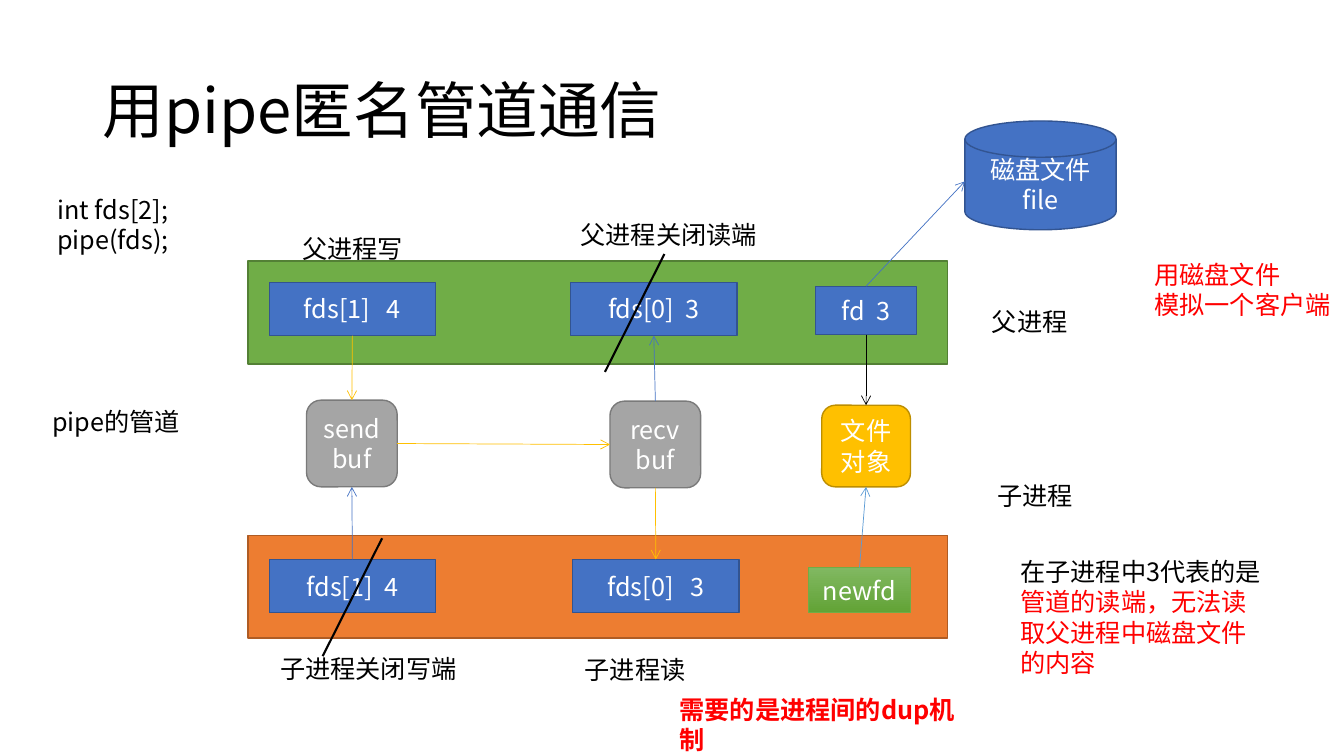
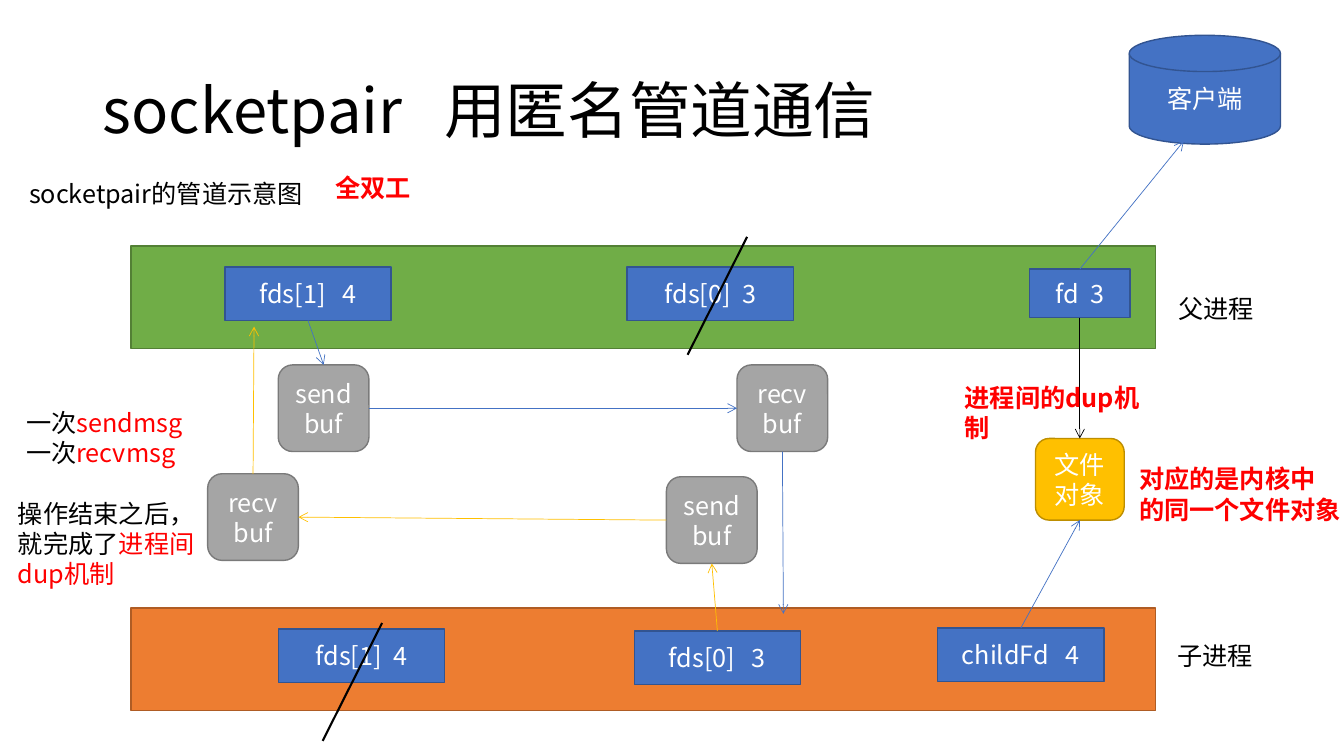
from lxml import etree
from pptx import Presentation
from pptx.dml.color import RGBColor
from pptx.enum import shapes, text
from pptx.oxml import ns
from pptx.util import Inches, Pt

FONT = "Noto Sans CJK SC"
COLORS = {
    "black": "000000", "white": "FFFFFF", "red": "FF0000",
    "blue": "4472C4", "blue_edge": "325491", "sky": "5B9BD5",
    "green": "70AD47", "green_edge": "538035", "green_light": "81B861", "green_dark": "62A336",
    "orange": "ED7D31", "orange_edge": "AF5C24",
    "gray": "A5A5A5", "gray_edge": "7A7A7A",
    "gold": "FFC000", "gold_edge": "BD8E00",
}
PRESET = shapes.MSO_SHAPE
NODES = {
    "register": (PRESET.RECTANGLE, 1.65, 0.53, "blue", "blue_edge"),
    "fd": (PRESET.RECTANGLE, 1, 0.48, "blue", "blue_edge"),
    "newfd": (PRESET.RECTANGLE, 1.01, 0.45, "green", "green"),
    "buffer": (PRESET.ROUNDED_RECTANGLE, 0.9, 0.86, "gray", "gray_edge"),
    "file": (PRESET.ROUNDED_RECTANGLE, 0.88, 0.81, "gold", "gold_edge"),
    "disk": (PRESET.FLOWCHART_MAGNETIC_DISK, 1.5, 1.08, "blue", "blue_edge"),
}
BANDS = {"parent": ("green", "green_edge"), "child": ("orange", "orange_edge")}
BAND_HEIGHT = 1.02
TOP, LEFT, BOTTOM, RIGHT = range(4)


def rgb(name):
    """Return the named colour."""
    return RGBColor.from_string(COLORS[name])


def write(frame, content, size=18, color="black", bold=False, align=None, spacing=None):
    """Write paragraphs given as a string, or as rows of (text, colour) runs."""
    rows = content
    if isinstance(content, str):
        rows = [[(row, color)] for row in content.split("\n")]
    for index, row in enumerate(rows):
        paragraph = frame.add_paragraph() if index else frame.paragraphs[0]
        paragraph.alignment = align
        paragraph.line_spacing = spacing
        for words, run_color in row:
            run = paragraph.add_run()
            run.text = words
            run.font.size = Pt(size)
            run.font.bold = bold
            run.font.name = FONT
            run.font.color.rgb = rgb(run_color)
            east_asian = etree.SubElement(run.font._element, ns.qn("a:ea"))
            east_asian.set("typeface", FONT)


def label(slide, left, top, width, height, content, wrap=True, **format):
    """Place a label that grows with its text."""
    frame = slide.shapes.add_textbox(*map(Inches, (left, top, width, height))).text_frame
    frame.word_wrap = wrap
    frame.auto_size = text.MSO_AUTO_SIZE.SHAPE_TO_FIT_TEXT
    write(frame, content, **format)


def title(slide, words):
    """Place the slide title."""
    frame = slide.shapes.add_textbox(*map(Inches, (0.92, 0.4, 11.5, 1.45))).text_frame
    frame.word_wrap = True
    frame.vertical_anchor = text.MSO_ANCHOR.MIDDLE
    write(frame, words, size=44, spacing=0.9)


def block(slide, preset, left, top, width, height, fill, edge):
    """Place a flat filled shape with an outline."""
    shape = slide.shapes.add_shape(preset, *map(Inches, (left, top, width, height)))
    shape.shadow.inherit = False
    shape.fill.solid()
    shape.fill.fore_color.rgb = rgb(fill)
    shape.line.color.rgb = rgb(edge)
    shape.line.width = Pt(1)
    return shape


def node(slide, kind, left, top, words):
    """Place one diagram node of a known kind."""
    preset, width, height, fill, edge = NODES[kind]
    shape = block(slide, preset, left, top, width, height, fill, edge)
    if kind == "newfd":
        shape.line.width = Pt(0.5)
        shape.fill.gradient()
        shape.fill.gradient_angle = 270
        for stop, shade in zip(shape.fill.gradient_stops, ("green_light", "green_dark")):
            stop.color.rgb = rgb(shade)
    shape.text_frame.word_wrap = True
    shape.text_frame.vertical_anchor = text.MSO_ANCHOR.MIDDLE
    write(shape.text_frame, words, color="white", align=text.PP_ALIGN.CENTER)
    return shape


def process_band(slide, kind, left, top, width, members):
    """Place a process band and its descriptors, offset from the band's corner."""
    block(slide, PRESET.RECTANGLE, left, top, width, BAND_HEIGHT, *BANDS[kind])
    return [node(slide, member, left + dx, top + dy, words) for member, dx, dy, words in members]


def segment(slide, start, end, color, width):
    """Draw a line between points or (shape, side) pairs."""
    glued = [not isinstance(spot[0], (int, float)) for spot in (start, end)]
    points = [(0, 0) if fixed else spot for fixed, spot in zip(glued, (start, end))]
    line = slide.shapes.add_connector(
        shapes.MSO_CONNECTOR.STRAIGHT, *(Inches(value) for point in points for value in point))
    if glued[0]:
        line.begin_connect(*start)
    if glued[1]:
        line.end_connect(*end)
    line.line.color.rgb = rgb(color)
    line.line.width = Pt(width)
    etree.SubElement(line._element.spPr, ns.qn("a:effectLst"))
    return line


def arrow(slide, start, end, color="blue"):
    """Draw a thin arrow."""
    line = segment(slide, start, end, color, 0.5)
    etree.SubElement(line.line._get_or_add_ln(), ns.qn("a:tailEnd")).set("type", "arrow")


def strike(slide, left, top):
    """Cross out a closed descriptor."""
    segment(slide, (left, top + 1.17), (left + 0.59, top), "black", 1.5)


def pipe_slide(slide):
    """Build the pipe diagram."""
    child_write, child_read, new_fd = process_band(slide, "child", 2.46, 5.31, 6.94, [
        ("register", 0.21, 0.24, "fds[1]  4"),
        ("register", 3.22, 0.24, "fds[0]   3"),
        ("newfd", 5.56, 0.32, "newfd")])
    parent_write, parent_read, fd = process_band(slide, "parent", 2.46, 2.59, 6.94, [
        ("register", 0.21, 0.21, "fds[1]   4"),
        ("register", 3.2, 0.21, "fds[0]  3"),
        ("fd", 5.63, 0.25, "fd  3")])
    title(slide, "用pipe匿名管道通信")
    send = node(slide, "buffer", 3.04, 3.97, "send\nbuf")
    recv = node(slide, "buffer", 6.05, 3.98, "recv\nbuf")
    file_object = node(slide, "file", 8.15, 4.02, "文件对象")
    node(slide, "disk", 9.57, 1.2, "磁盘文件\nfile")

    arrow(slide, (parent_write, BOTTOM), (send, TOP), "gold")
    arrow(slide, (recv, TOP), (parent_read, BOTTOM))
    arrow(slide, (fd, BOTTOM), (file_object, TOP), "black")
    arrow(slide, (child_write, TOP), (send, BOTTOM))
    arrow(slide, (recv, BOTTOM), (child_read, TOP), "gold")
    arrow(slide, (send, RIGHT), (recv, LEFT), "gold")
    arrow(slide, (fd, TOP), (9.57, 1.8))
    arrow(slide, (new_fd, TOP), (file_object, BOTTOM), "sky")
    strike(slide, 6, 2.52)
    strike(slide, 3.2, 5.34)

    label(slide, 0.42, 3.98, 1.77, 0.4, "pipe的管道")
    label(slide, 9.74, 2.99, 0.95, 0.4, "父进程", wrap=False)
    label(slide, 9.79, 4.72, 0.95, 0.4, "子进程", wrap=False)
    label(slide, 6.64, 6.84, 3.15, 0.4, "需要的是进程间的dup机制", wrap=False, color="red", bold=True)
    label(slide, 11.35, 2.52, 1.95, 0.71, "用磁盘文件\n模拟一个客户端", wrap=False, color="red")
    label(slide, 0.47, 1.88, 3.88, 0.71, "int fds[2];\npipe(fds);")
    label(slide, 2.9, 2.27, 1.24, 0.4, "父进程写")
    label(slide, 5.66, 2.13, 2.06, 0.4, "父进程关闭读端")
    label(slide, 5.7, 6.44, 2.43, 0.4, "子进程读")
    label(slide, 2.68, 6.43, 2.19, 0.4, "子进程关闭写端")
    label(slide, 10.02, 5.47, 2.68, 1.31, [
        [("在子进程中3代表的是", "black"), ("管道的读端，无法读取父进程中磁盘文件的内容", "red")]])


def socketpair_slide(slide):
    """Build the socketpair diagram."""
    _, child_read, child_fd = process_band(slide, "child", 1.3, 6.03, 10.16, [
        ("register", 1.46, 0.21, "fds[1]  4"),
        ("register", 4.99, 0.23, "fds[0]   3"),
        ("register", 8, 0.2, "childFd   4")])
    parent_write, _, fd = process_band(slide, "parent", 1.3, 2.44, 10.16, [
        ("register", 0.93, 0.21, "fds[1]   4"),
        ("register", 4.92, 0.21, "fds[0]  3"),
        ("fd", 8.91, 0.23, "fd  3")])
    title(slide, "socketpair   用匿名管道通信")
    parent_send = node(slide, "buffer", 2.76, 3.62, "send\nbuf")
    parent_recv = node(slide, "buffer", 2.06, 4.7, "recv\nbuf")
    child_send = node(slide, "buffer", 6.61, 4.73, "send\nbuf")
    child_recv = node(slide, "buffer", 7.31, 3.62, "recv\nbuf")
    file_object = node(slide, "file", 10.27, 4.35, "文件对象")
    node(slide, "disk", 11.2, 0.35, "客户端")

    arrow(slide, (parent_write, BOTTOM), (parent_send, TOP))
    arrow(slide, (parent_send, RIGHT), (child_recv, LEFT))
    arrow(slide, (child_recv, BOTTOM), (7.77, 6.09))
    arrow(slide, (child_read, TOP), (child_send, BOTTOM), "gold")
    arrow(slide, (child_send, LEFT), (parent_recv, RIGHT), "gold")
    arrow(slide, (parent_recv, TOP), (2.52, 3.24), "gold")
    arrow(slide, (fd, BOTTOM), (file_object, TOP), "black")
    arrow(slide, (child_fd, TOP), (file_object, BOTTOM))
    arrow(slide, (fd, TOP), (11.74, 1.4))
    strike(slide, 6.82, 2.35)
    strike(slide, 3.2, 6.18)

    label(slide, 0.19, 1.72, 3.01, 0.4, "socketpair的管道示意图")
    label(slide, 3.23, 1.66, 1.18, 0.4, "全双工", color="red", bold=True)
    label(slide, 11.59, 2.86, 0.95, 0.4, "父进程", wrap=False)
    label(slide, 11.58, 6.3, 0.95, 0.4, "子进程", wrap=False)
    label(slide, 11.2, 4.55, 2.2, 0.71, "对应的是内核中\n的同一个文件对象",
          wrap=False, color="red", bold=True)
    label(slide, 9.47, 3.74, 2.15, 0.4, "进程间的dup机制", wrap=False, color="red", bold=True)
    label(slide, 0.16, 3.99, 1.82, 0.71, [
        [("一次", "black"), (call, "red")] for call in ("sendmsg", "recvmsg")])
    label(slide, 0.08, 4.89, 1.95, 1.01, [
        [("操作结束之后，", "black")],
        [("就完成了", "black"), ("进程间", "red")],
        [("dup机制", "red")]], wrap=False)


def main():
    """Build and save the presentation."""
    deck = Presentation()
    deck.slide_width, deck.slide_height = Inches(13.33), Inches(7.5)
    for build in (pipe_slide, socketpair_slide):
        build(deck.slides.add_slide(deck.slide_layouts[6]))
    deck.save("out.pptx")


if __name__ == "__main__":
    main()
